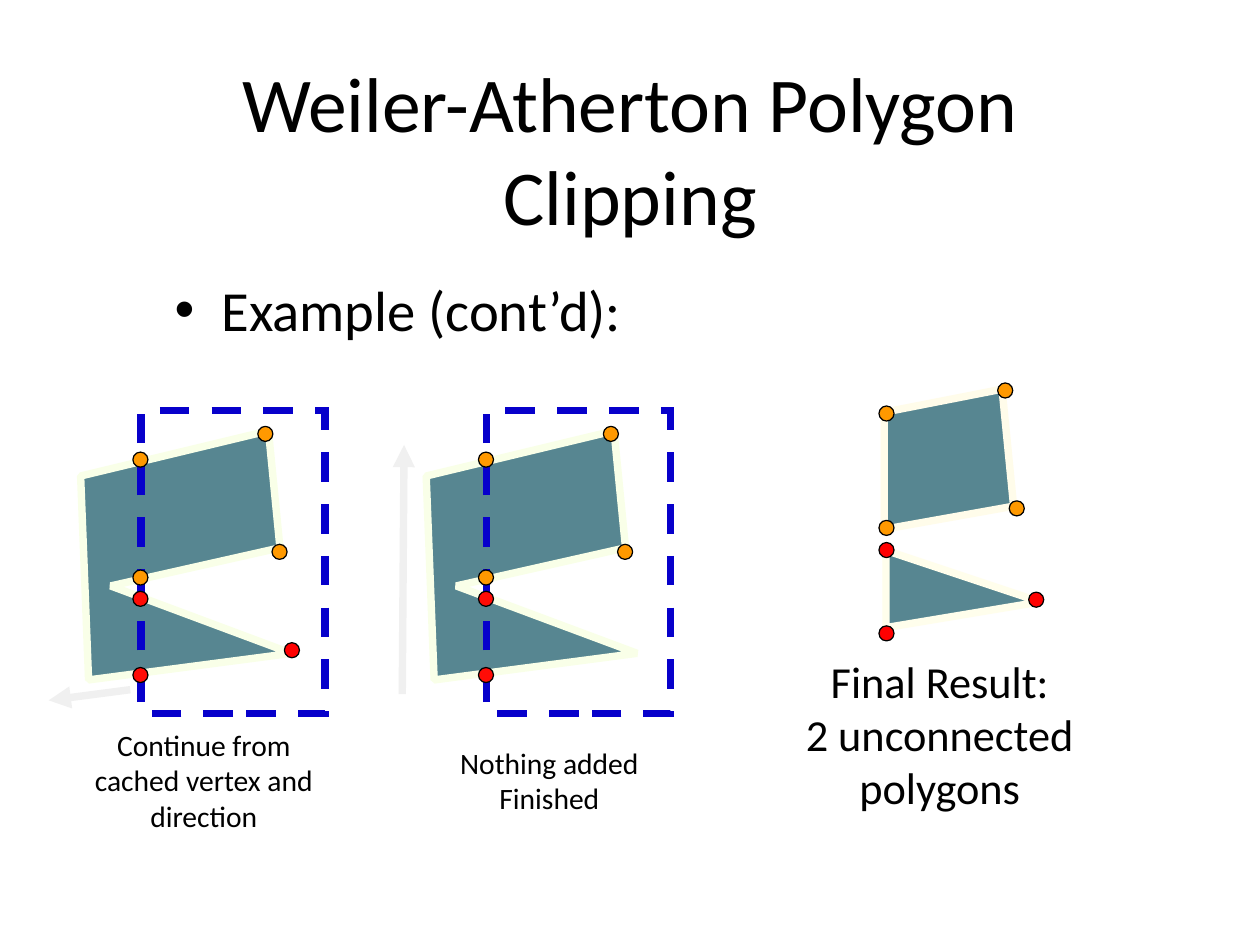
"""Build the Weiler-Atherton polygon clipping slide with its three example panels."""
from lxml.etree import SubElement
from pptx import Presentation
from pptx.dml.color import RGBColor
from pptx.enum.dml import MSO_LINE
from pptx.enum.shapes import MSO_CONNECTOR as Connector, MSO_SHAPE as Shape
from pptx.enum.text import MSO_ANCHOR as Anchor, PP_ALIGN as Align
from pptx.oxml.ns import qn
from pptx.util import Inches, Pt

COLORS = {
    "text": "000000", "polygon": "578691", "edge": "F9FFE8",
    "upper edge": "FFFCEA", "lower edge": "FFFEEC", "window": "0700CB",
    "arrow": "F0F0F0", "orange": "FF9900", "crossing": "FF0C06", "red": "FF0000",
}
FONT = "Calibri"
DOT = 0.17
HEAVY = 6
PANEL_STEP = 3.9

TITLE = "Weiler-Atherton Polygon Clipping"
BULLET = "Example (cont’d):"
SUBJECT = [(0.91, 5.37), (3.03, 4.86), (3.16, 6.18), (1.25, 6.61), (3.29, 7.37), (1, 7.67)]
WINDOW = (1.59, 4.63, 2.08, 3.42)
SUBJECT_DOTS = [
    (1.5, 5.1, "orange"), (2.91, 4.81, "orange"), (3.07, 6.14, "orange"),
    (1.5, 6.43, "orange"), (1.5, 6.67, "crossing"), (1.5, 7.53, "crossing"),
]
STEPS = [
    {"caption": "Continue from\ncached vertex and\ndirection", "box": (0.83, 8.2, 2.94, 1.2),
     "arrow": (1.47, 7.78, 0.55, 7.9), "extra dots": [(3.21, 7.25, "red")]},
    {"caption": "Nothing added\nFinished", "box": (5.02, 8.4, 2.36, 0.8),
     "arrow": (4.54, 7.83, 4.56, 5.02), "extra dots": []},
]
RESULT_POLYGONS = [
    ("upper edge", [(9.98, 5.97), (9.98, 4.65), (11.31, 4.39), (11.44, 5.71)]),
    ("lower edge", [(10, 7.08), (10, 6.21), (11.74, 6.79)]),
]
RESULT_DOTS = [
    (9.92, 4.58, "orange"), (11.26, 4.32, "orange"), (11.39, 5.65, "orange"),
    (9.92, 5.87, "orange"), (9.92, 6.12, "red"), (11.61, 6.68, "red"), (9.92, 7.06, "red"),
]
RESULT_CAPTION = "Final Result:\n2 unconnected\npolygons"
RESULT_BOX = (8.86, 7.38, 3.49, 1.8)


def color(name):
    return RGBColor.from_string(COLORS[name])


def fill_shape(shape, name):
    shape.fill.solid()
    shape.fill.fore_color.rgb = color(name)


def set_line(shape, name, width, join=None):
    shape.line.color.rgb = color(name)
    shape.line.width = Pt(width)
    if join:
        SubElement(shape.line._get_or_add_ln(), qn(f"a:{join}"))


def add_text(parent, text, place, size, align=Align.CENTER, anchor=Anchor.MIDDLE,
             insets=(0, 0), wrap=False, bullet=False):
    box = parent.add_textbox(*map(Inches, place))
    frame = box.text_frame
    frame.text = text
    frame.word_wrap = wrap
    frame.vertical_anchor = anchor
    frame.margin_left = frame.margin_right = Inches(insets[0])
    frame.margin_top = frame.margin_bottom = Inches(insets[1])
    for para in frame.paragraphs:
        para.alignment = align
        if bullet:
            props = para._p.get_or_add_pPr()
            props.set("marL", str(Inches(0.53)))
            props.set("indent", str(Inches(-0.53)))
            SubElement(props, qn("a:buFont"), typeface="Arial")
            SubElement(props, qn("a:buChar"), char="•")
        for span in para.runs:
            span.font.name = FONT
            span.font.size = Pt(size)
            span.font.color.rgb = color("text")


def add_polygon(parent, points, edge, shift=0):
    corners = [(Inches(x + shift), Inches(y)) for x, y in points]
    builder = parent.build_freeform(*corners[0])
    builder.add_line_segments(corners[1:], close=True)
    polygon = builder.convert_to_shape()
    polygon.shadow.inherit = False
    fill_shape(polygon, "polygon")
    set_line(polygon, edge, HEAVY, "bevel")


def add_window(parent, shift):
    left, top, width, height = WINDOW
    window = parent.add_shape(Shape.RECTANGLE, *map(Inches, (left + shift, top, width, height)))
    window.shadow.inherit = False
    window.fill.background()
    window.line.dash_style = MSO_LINE.DASH
    set_line(window, "window", HEAVY, "miter")


def add_arrow(parent, ends):
    arrow = parent.add_connector(Connector.STRAIGHT, *map(Inches, ends))
    set_line(arrow, "arrow", HEAVY)
    SubElement(arrow.line._get_or_add_ln(), qn("a:tailEnd"), type="triangle")
    SubElement(arrow._element.spPr, qn("a:effectLst"))


def add_dots(parent, dots, shift=0):
    for left, top, name in dots:
        dot = parent.add_shape(Shape.OVAL, *map(Inches, (left + shift, top, DOT, DOT)))
        dot.shadow.inherit = False
        fill_shape(dot, name)
        set_line(dot, "text", 1)


def main():
    deck = Presentation()
    deck.slide_width, deck.slide_height = Inches(14.22), Inches(10.66)
    page = deck.slides.add_slide(deck.slide_layouts[6])
    add_text(page.shapes, TITLE, (1.39, 0.28, 11.44, 2.78), 63, insets=(0.14, 0.07), wrap=True)
    add_text(page.shapes, BULLET, (1.83, 3.03, 11, 1.21), 46, Align.LEFT, Anchor.TOP,
             (0.14, 0.07), wrap=True, bullet=True)

    for index, step in enumerate(STEPS):
        shift = index * PANEL_STEP
        panel = page.shapes.add_group_shape().shapes
        add_text(panel, step["caption"], step["box"], 24)
        add_polygon(panel, SUBJECT, "edge", shift)
        add_window(panel, shift)
        add_arrow(panel, step["arrow"])
        add_dots(panel, SUBJECT_DOTS + step["extra dots"], shift)

    result = page.shapes.add_group_shape().shapes
    for edge, points in RESULT_POLYGONS:
        add_polygon(result, points, edge)
    add_dots(result, RESULT_DOTS)
    add_text(result, RESULT_CAPTION, RESULT_BOX, 36)
    deck.save("out.pptx")


if __name__ == "__main__":
    main()
